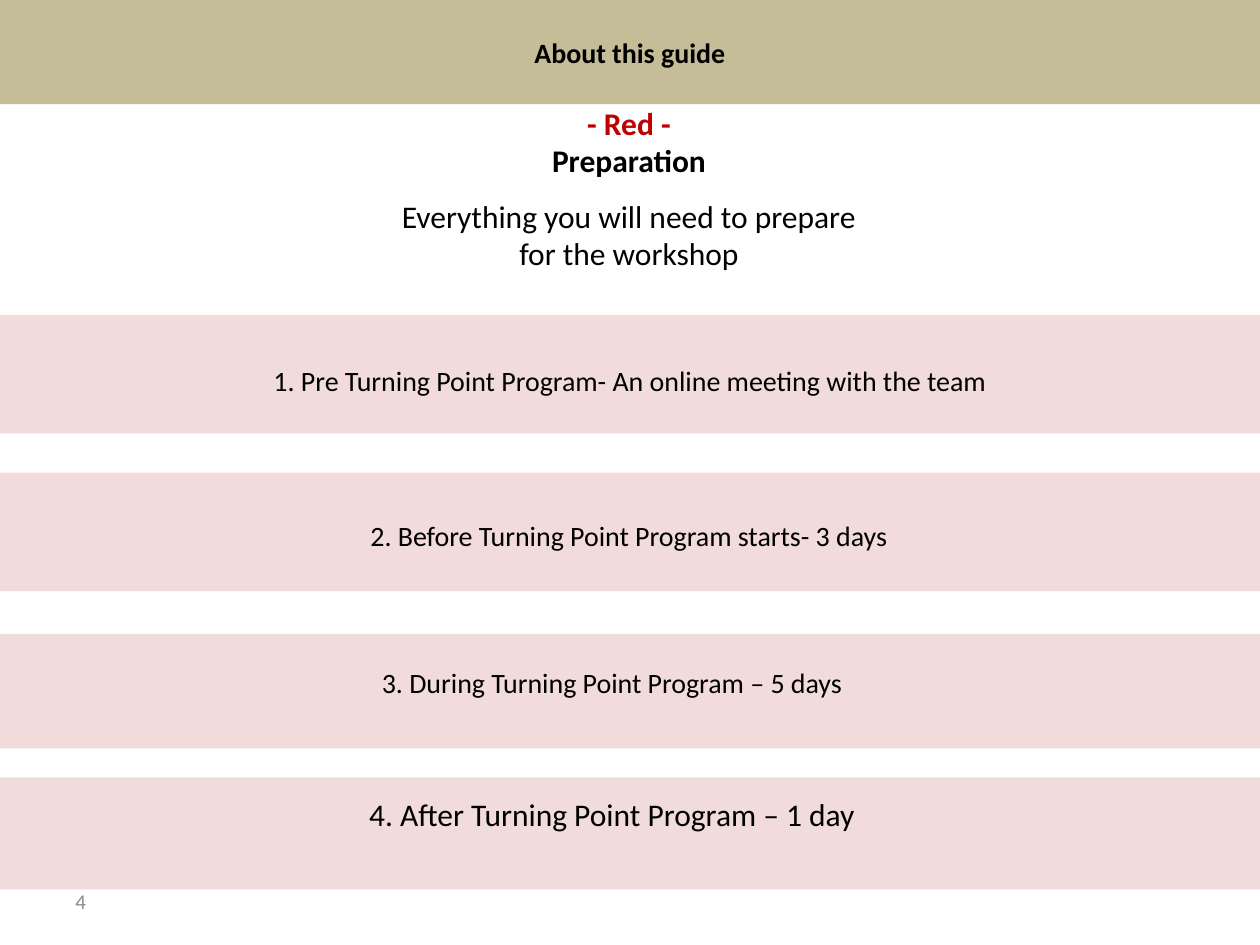
from pptx import Presentation
from pptx.dml.color import RGBColor
from pptx.enum.shapes import MSO_SHAPE
from pptx.enum.text import MSO_ANCHOR, MSO_AUTO_SIZE, PP_ALIGN
from pptx.oxml import parse_xml
from pptx.oxml.ns import nsdecls
from pptx.util import Cm, Pt

WIDTH = 25.4
TITLE = "About this guide"
INTRO = [
    ("- Red -", dict(color="C00000", bold=True)),
    ("Preparation", dict(bold=True)),
    ("Everything you will need to prepare", dict(before=10)),
    ("for the workshop", {}),
]
STEPS = [
    # band top, band height, text left, text middle, size, wording
    (6.35, 2.39, 1.7, 7.67, 16, "1. Pre Turning Point Program- An online meeting with the team"),
    (9.53, 2.39, 1.68, 10.8, 16, "2. Before Turning Point Program starts- 3 days"),
    (12.78, 2.31, 1.34, 13.75, 16, "3. During Turning Point Program – 5 days"),
    (15.67, 2.26, 1.34, 16.41, 18, "4. After Turning Point Program – 1 day"),
]


def paint(target, color):
    """Give a fill or font color from a hex string."""
    target.solid()
    target.fore_color.rgb = RGBColor.from_string(color)


def place(shape, left, top, width, height):
    """Move and size a shape in centimetres."""
    shape.left, shape.top = Cm(left), Cm(top)
    shape.width, shape.height = Cm(width), Cm(height)


def write(para, text, size=18, color="000000", bold=False,
          align=PP_ALIGN.CENTER, before=0):
    """Write one formatted paragraph."""
    para.alignment = align
    para.space_before = Pt(before)
    run = para.add_run()
    run.text = text
    run.font.name = "Calibri"
    run.font.size = Pt(size)
    run.font.bold = bold
    paint(run.font.fill, color)


def label(slide, left, mid, width, text, **style):
    """Add a one-line text box centred on a height."""
    box = slide.shapes.add_textbox(Cm(left), Cm(mid - 0.5), Cm(width), Cm(1))
    box.text_frame.word_wrap = True
    box.text_frame.vertical_anchor = MSO_ANCHOR.MIDDLE
    write(box.text_frame.paragraphs[0], text, **style)


def band(slide, top, height):
    """Add a full-width pink band."""
    bar = slide.shapes.add_shape(
        MSO_SHAPE.RECTANGLE, 0, Cm(top), Cm(WIDTH), Cm(height))
    bar.shadow.inherit = False
    bar.line.fill.background()
    paint(bar.fill, "F2DCDB")


def main():
    """Build and save the slide."""
    deck = Presentation()
    deck.slide_width, deck.slide_height = Cm(WIDTH), Cm(19.05)
    slide = deck.slides.add_slide(deck.slide_layouts[1])

    title, body = slide.placeholders
    place(title, 0, 0, WIDTH, 2.1)
    paint(title.fill, "C4BD97")
    title.text_frame.auto_size = MSO_AUTO_SIZE.NONE
    title.text_frame.vertical_anchor = MSO_ANCHOR.MIDDLE
    write(title.text_frame.paragraphs[0], TITLE, size=16, bold=True)

    place(body, 1.68, 1.96, 22, 4.2)
    frame = body.text_frame
    frame.auto_size = MSO_AUTO_SIZE.NONE
    for i, (text, style) in enumerate(INTRO):
        para = frame.add_paragraph() if i else frame.paragraphs[0]
        write(para, text, **style)
        props = para._p.get_or_add_pPr()
        props.set("marL", "0")
        props.set("indent", "0")
        props.append(parse_xml(f"<a:buNone {nsdecls('a')}/>"))

    for top, height, left, mid, size, text in STEPS:
        band(slide, top, height)
        label(slide, left, mid, 22, text, size=size)
    label(slide, 1.27, 18.16, 5.92, "4", size=12, color="8C8C8C",
          align=PP_ALIGN.LEFT)
    deck.save("out.pptx")


if __name__ == "__main__":
    main()
